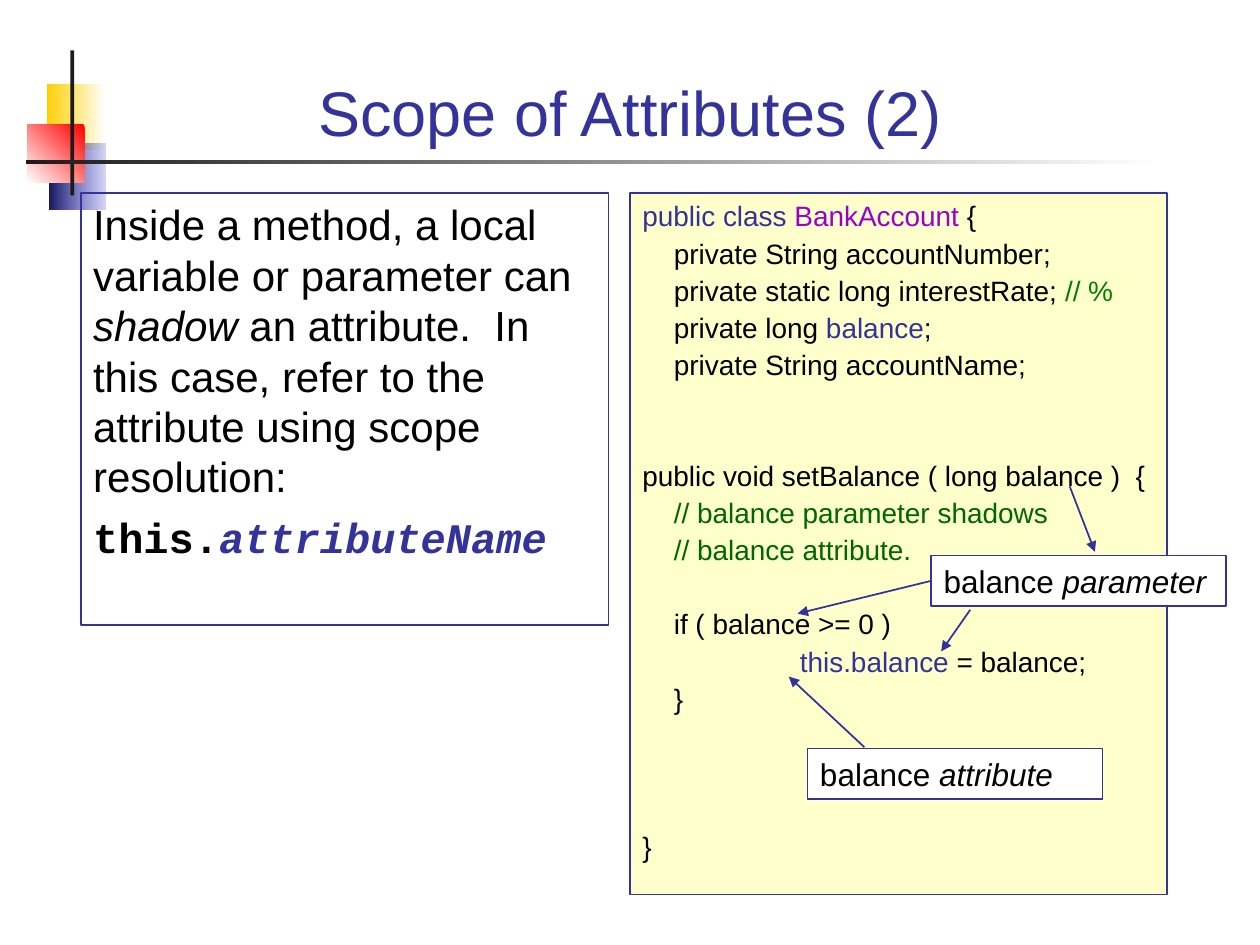
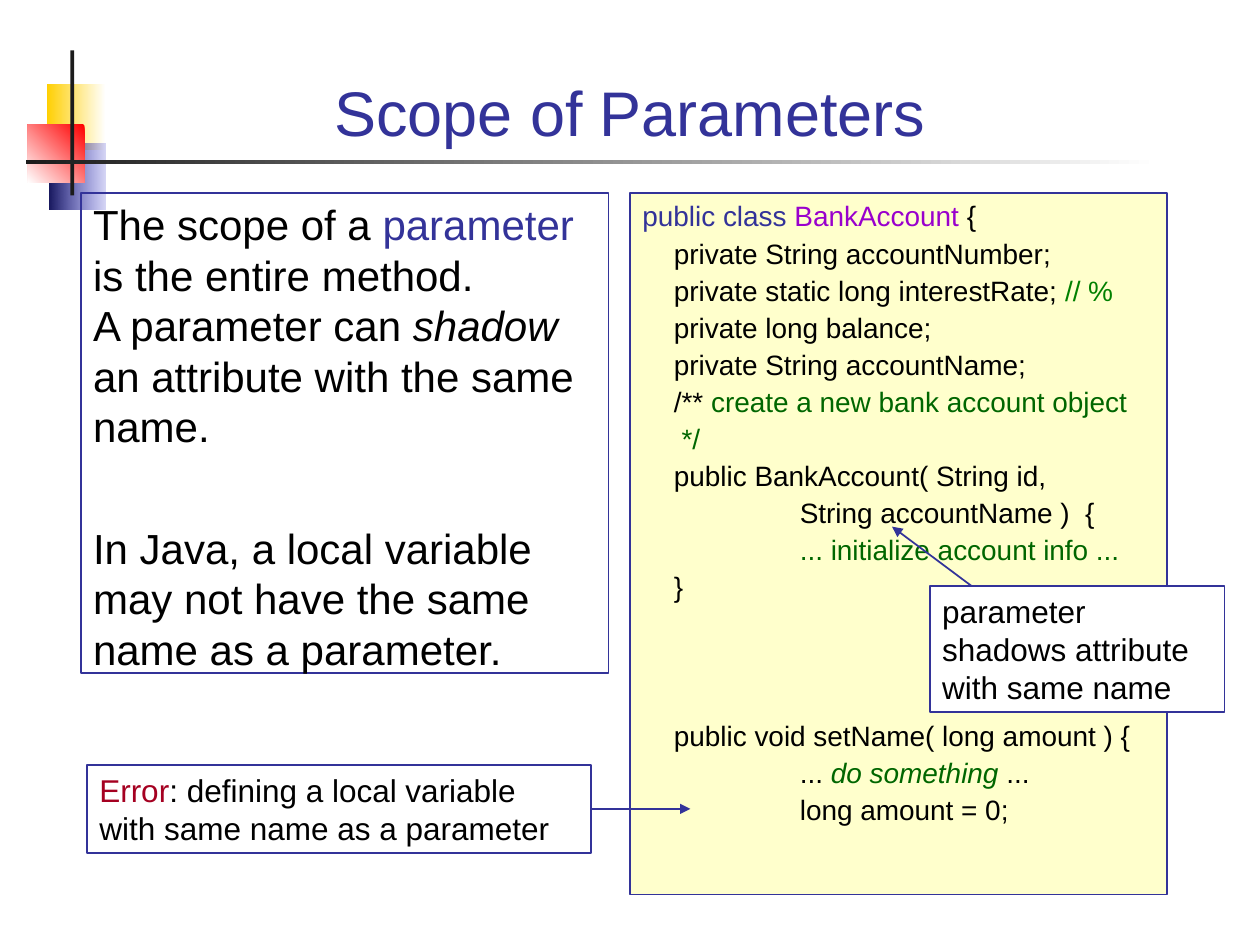
"""Build two slides on the scope of attributes and parameters in Java."""
from lxml.etree import SubElement
from pptx import Presentation
from pptx.dml.color import RGBColor
from pptx.enum.shapes import MSO_CONNECTOR as CONN, MSO_SHAPE as SHAPE
from pptx.enum.text import MSO_ANCHOR as ANCHOR, PP_ALIGN as ALIGN
from pptx.oxml.ns import qn
from pptx.util import Inches, Pt

BLUE, BLACK, WHITE, CREAM = "333399", "000000", "FFFFFF", "FFFFCC"
PURPLE, GREEN, DARK_GREEN, RED = "9900CC", "008000", "006600", "A50021"
INK = "1C1C1C"
IND, IND2 = 0.25, 1.25
GAP, SKIP = 2, 21.2


def rgb(hex_color):
    return RGBColor.from_string(hex_color)


def add_text(s, at, paras, size=18, fill=None, line=BLUE, color=BLACK,
             align=ALIGN.LEFT, anchor=ANCHOR.TOP):
    """Add a box; a paragraph is (indent, space before, *runs), a run (text, color, style)."""
    sp = s.shapes.add_textbox(*map(Inches, at))
    if fill:
        sp.fill.solid()
        sp.fill.fore_color.rgb = rgb(fill)
    if line:
        sp.line.color.rgb = rgb(line)
        sp.line.width = Pt(1)
    tf = sp.text_frame
    tf.word_wrap = True
    tf.vertical_anchor = anchor
    for i, (indent, before, *runs) in enumerate(paras):
        p = tf.add_paragraph() if i else tf.paragraphs[0]
        p.alignment = align
        p.space_before = Pt(before)
        p.line_spacing = Pt(size * 1.2)
        p._p.get_or_add_pPr().set("marL", str(Inches(indent)))
        for run in runs:
            words, run_color, style = (*run, None, "")[:3] if len(run) < 3 else run
            r = p.add_run()
            r.text = words
            r.font.size = Pt(size)
            r.font.name = "Courier New" if "m" in (style or "") else "Arial"
            r.font.bold = "b" in (style or "")
            r.font.italic = "i" in (style or "")
            r.font.color.rgb = rgb(run_color or color)
    return sp


DECOR = [
    ((0.37, 0.67, 0.47, 0.52), (WHITE, "FFCF01"), 180),
    ((0.39, 1.14, 0.45, 0.52), ("3333CC", "17175E"), 180),
    ((0.22, 0.99, 0.45, 0.46), ("FF0000", WHITE), 225),
    ((0.56, 0.4, 0.03, 1.15), (INK, INK), 180),
    ((0.21, 1.27, 8.99, 0.03), (WHITE, INK), 180),
]

CLASS_HEAD = [
    (0, GAP, ("public class ", BLUE), ("BankAccount", PURPLE), (" {",)),
    (IND, GAP, ("private String accountNumber;",)),
    (IND, GAP, ("private static long interestRate; ",), ("// %", GREEN)),
]

SLIDES = [
    dict(
        title="Scope of Attributes (2)",
        code=[
            (IND, GAP, ("private long ",), ("balance", BLUE), (";",)),
            (IND, GAP, ("private String accountName;",)),
            (0, GAP + 2 * SKIP, ("public void setBalance ( long balance )  {",)),
            (IND, GAP, ("// balance parameter shadows", DARK_GREEN)),
            (IND, GAP, ("// balance attribute.", DARK_GREEN)),
            (IND, GAP + SKIP, ("if ( balance >= 0 )",)),
            (IND2, GAP, ("this.balance", BLUE), (" = balance;",)),
            (IND, GAP, ("}",)),
            (0, GAP + 3 * SKIP, ("}",)),
        ],
        note_height=3.43,
        note=[
            (0, 6, ("Inside a method, a local variable or parameter can ",),
             ("shadow", BLACK, "i"),
             (" an attribute.  In this case, refer to the attribute using scope resolution:",)),
            (0, 6, ("this.", BLACK, "mb"), ("attributeName", BLUE, "mbi")),
        ],
        callouts=[
            ((7.39, 4.41, 2.34, 0.4), [("balance ",), ("parameter", BLACK, "i")]),
            ((6.41, 5.94, 2.34, 0.4), [("balance ",), ("attribute", BLACK, "i")]),
        ],
        arrows=[
            ((7.7, 4.84), (7.47, 5.17), None),
            ((7.39, 4.61), (6.33, 4.87), (0, 1)),
            ((6.86, 5.93), (6.26, 5.37), None),
            ((8.49, 3.86), (8.69, 4.38), None),
        ],
    ),
    dict(
        title="Scope of Parameters",
        code=[
            (IND, GAP, ("private long balance;",)),
            (IND, GAP, ("private String accountName;",)),
            (IND, GAP, ("/** ",), ("create a new bank account object", DARK_GREEN)),
            (IND, GAP, (" */", DARK_GREEN)),
            (IND, GAP, ("public BankAccount( String id,",)),
            (IND2, GAP, ("String accountName )  {",)),
            (IND2, GAP, ("... initialize account info ...", DARK_GREEN)),
            (IND, GAP, ("}",)),
            (IND, GAP + 3 * SKIP, ("public void setName( long amount ) {",)),
            (IND2, GAP, ("... ",), ("do something", DARK_GREEN, "i"), (" ...",)),
            (IND2, GAP, ("long amount = 0;",)),
        ],
        note_height=3.81,
        note=[
            (0, 6, ("The scope of a ",), ("parameter", BLUE), (" is the entire method.",)),
            (0, 0, ("A parameter can ",), ("shadow", BLACK, "i"),
             (" an attribute with the same name.",)),
            (0, 40.8, ("In Java, a local variable may not have the same name as a parameter.",)),
        ],
        callouts=[
            ((7.38, 4.65, 2.34, 1), [("parameter shadows attribute with same name",)]),
            ((0.69, 6.07, 4, 0.7),
             [("Error", RED), (": defining a local variable with same name as a parameter",)]),
        ],
        arrows=[
            ((7.71, 4.65), (7.08, 4.18), None),
            ((4.69, 6.42), (5.48, 6.42), (1, 3)),
        ],
    ),
]

prs = Presentation()
prs.slide_width, prs.slide_height = Inches(10), Inches(7.5)

for page in SLIDES:
    s = prs.slides.add_slide(prs.slide_layouts[6])

    for at, colors, angle in DECOR:
        sp = s.shapes.add_shape(SHAPE.RECTANGLE, *map(Inches, at))
        sp.shadow.inherit = False
        sp.line.fill.background()
        if colors[0] == colors[1]:
            sp.fill.solid()
            sp.fill.fore_color.rgb = rgb(colors[0])
            continue
        sp.fill.gradient()
        sp.fill.gradient_angle = angle
        for stop, color in zip(sp.fill.gradient_stops, colors):
            stop.color.rgb = rgb(color)
        if colors[0] == "3333CC":
            first_stop = sp._element.find(".//" + qn("a:srgbClr"))
            SubElement(first_stop, qn("a:alpha"), val="20000")

    add_text(s, (0.67, 0.28, 8.66, 0.95), [(0, 0, (page["title"],))], size=36,
             line=None, color=BLUE, align=ALIGN.CENTER, anchor=ANCHOR.BOTTOM)
    add_text(s, (5, 1.53, 4.26, 5.57), CLASS_HEAD + page["code"], size=16, fill=CREAM)
    add_text(s, (0.64, 1.53, 4.19, page["note_height"]), page["note"], size=24)
    boxes = [add_text(s, at, [(0, 0, *runs)], fill=WHITE) for at, runs in page["callouts"]]

    for start, end, joint in page["arrows"]:
        arrow = s.shapes.add_connector(CONN.STRAIGHT, *map(Inches, start + end))
        if joint:
            arrow.begin_connect(boxes[joint[0]], joint[1])
        arrow.line.color.rgb = rgb(BLUE)
        arrow.line.width = Pt(1)
        SubElement(arrow.line._get_or_add_ln(), qn("a:tailEnd"), type="triangle")
        SubElement(arrow._element.spPr, qn("a:effectLst"))

prs.save("out.pptx")
